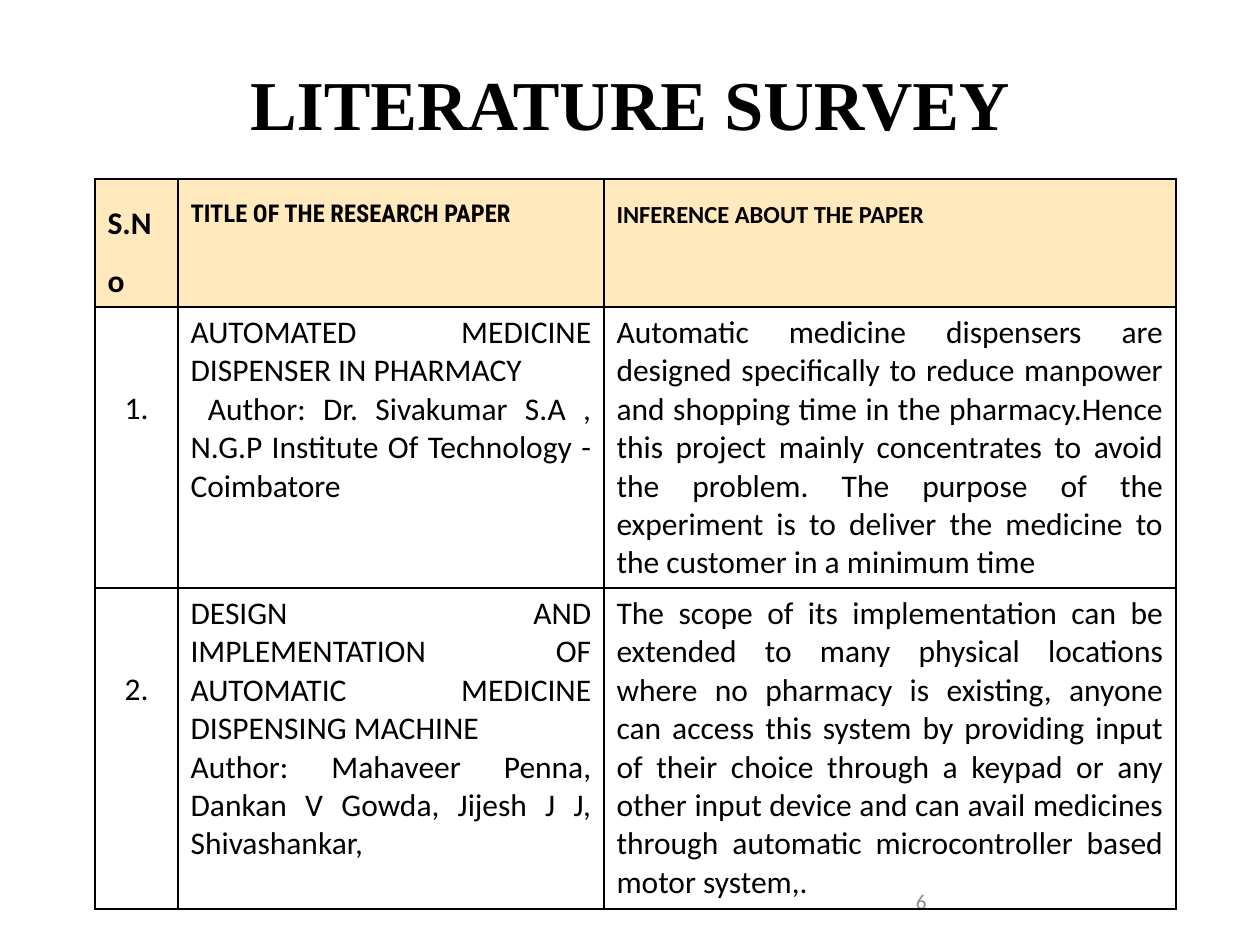
from lxml import etree
from pptx import Presentation
from pptx.dml.color import RGBColor
from pptx.enum import text
from pptx.oxml.ns import qn

PX = 914400 // 126
BLACK = RGBColor(0, 0, 0)
GREY = RGBColor(0x8C, 0x8C, 0x8C)
CREAM = RGBColor(0xFF, 0xE9, 0xBD)
MID, JUST = text.PP_ALIGN.CENTER, text.PP_ALIGN.JUSTIFY

TITLE = "LITERATURE SURVEY"
PAGE = "6"
HEAD = [
    ("S.No", 18, "Calibri"),
    ("TITLE OF THE RESEARCH PAPER", 14, "Roboto Condensed"),
    ("INFERENCE ABOUT THE PAPER", 14, "Calibri"),
]
PAPERS = [
    (["1."],
     ["AUTOMATED MEDICINE DISPENSER IN PHARMACY",
      " Author: Dr. Sivakumar S.A , N.G.P Institute Of Technology - Coimbatore"],
     ["Automatic medicine dispensers are designed specifically to reduce "
      "manpower and shopping time in the pharmacy.Hence this project mainly "
      "concentrates to avoid the problem. The purpose of the experiment is to "
      "deliver the medicine to the customer in a minimum time"]),
    (["2."],
     ["DESIGN AND IMPLEMENTATION OF AUTOMATIC MEDICINE DISPENSING MACHINE",
      "Author: Mahaveer Penna, Dankan V Gowda, Jijesh J J, Shivashankar,"],
     ["The scope of its implementation can be extended to many physical "
      "locations where no pharmacy is existing, anyone can access this system "
      "by providing input of their choice through a keypad or any other input "
      "device and can avail medicines through automatic microcontroller based "
      "motor system,."]),
]
COLS = [83, 426, 572]
ROWS = [128, 281, 321]
DROP = 83  # top margin that lowers the serial numbers


def write(frame, lines, size=18, font="Calibri", color=BLACK, bold=False,
          align=JUST, gap=1.0):
    for i, line in enumerate(lines):
        para = frame.add_paragraph() if i else frame.paragraphs[0]
        para.alignment, para.line_spacing = align, gap
        run = para.add_run()
        run.text = line
        face = run.font
        face.size, face.name, face.bold = size * 12700, font, bold
        face.color.rgb = color


def place(shape, left, top, width, height):
    shape.left, shape.top = left * PX, top * PX
    shape.width, shape.height = width * PX, height * PX


def inset(frame, px):
    frame.margin_left = frame.margin_right = px * PX
    frame.margin_top = frame.margin_bottom = px * PX


def edge(cell):
    """Draw a thin black border on all four sides."""
    props = cell._tc.get_or_add_tcPr()
    for i, side in enumerate(("lnL", "lnR", "lnT", "lnB")):
        line = etree.Element(qn("a:" + side), w="12700")
        fill = etree.SubElement(line, qn("a:solidFill"))
        etree.SubElement(fill, qn("a:srgbClr"), val=str(BLACK))
        props.insert(i, line)


def main():
    deck = Presentation()
    deck.slide_width, deck.slide_height = 1260 * PX, 945 * PX
    slide = deck.slides.add_slide(deck.slide_layouts[5])

    title = slide.shapes.title
    place(title, 63, 0, 1134, 158)
    frame = title.text_frame
    inset(frame, 13)
    frame.vertical_anchor = text.MSO_ANCHOR.BOTTOM
    write(frame, [TITLE], size=40, font="Times New Roman", bold=True,
          align=MID, gap=1.5)

    page = slide.shapes.add_textbox(903 * PX, 876 * PX, 294 * PX, 50 * PX)
    page.text_frame.word_wrap = True
    inset(page.text_frame, 13)
    write(page.text_frame, [PAGE], size=12, color=GREY,
          align=text.PP_ALIGN.LEFT)

    table = slide.shapes.add_table(
        len(ROWS), len(COLS), 95 * PX, 179 * PX,
        sum(COLS) * PX, sum(ROWS) * PX).table
    table.first_row = table.horz_banding = False
    for col, width in zip(table.columns, COLS):
        col.width = width * PX
    for row, height in zip(table.rows, ROWS):
        row.height = height * PX

    for c, (label, size, font) in enumerate(HEAD):
        cell = table.cell(0, c)
        cell.fill.solid()
        cell.fill.fore_color.rgb = CREAM
        write(cell.text_frame, [label], size=size, font=font, bold=True, gap=1.5)
        edge(cell)
    for r, paper in enumerate(PAPERS, 1):
        for c, lines in enumerate(paper):
            cell = table.cell(r, c)
            cell.fill.background()
            if c == 0:
                cell.margin_top = DROP * PX
            write(cell.text_frame, lines, align=JUST if c else MID)
            edge(cell)

    deck.save("out.pptx")


if __name__ == "__main__":
    main()
